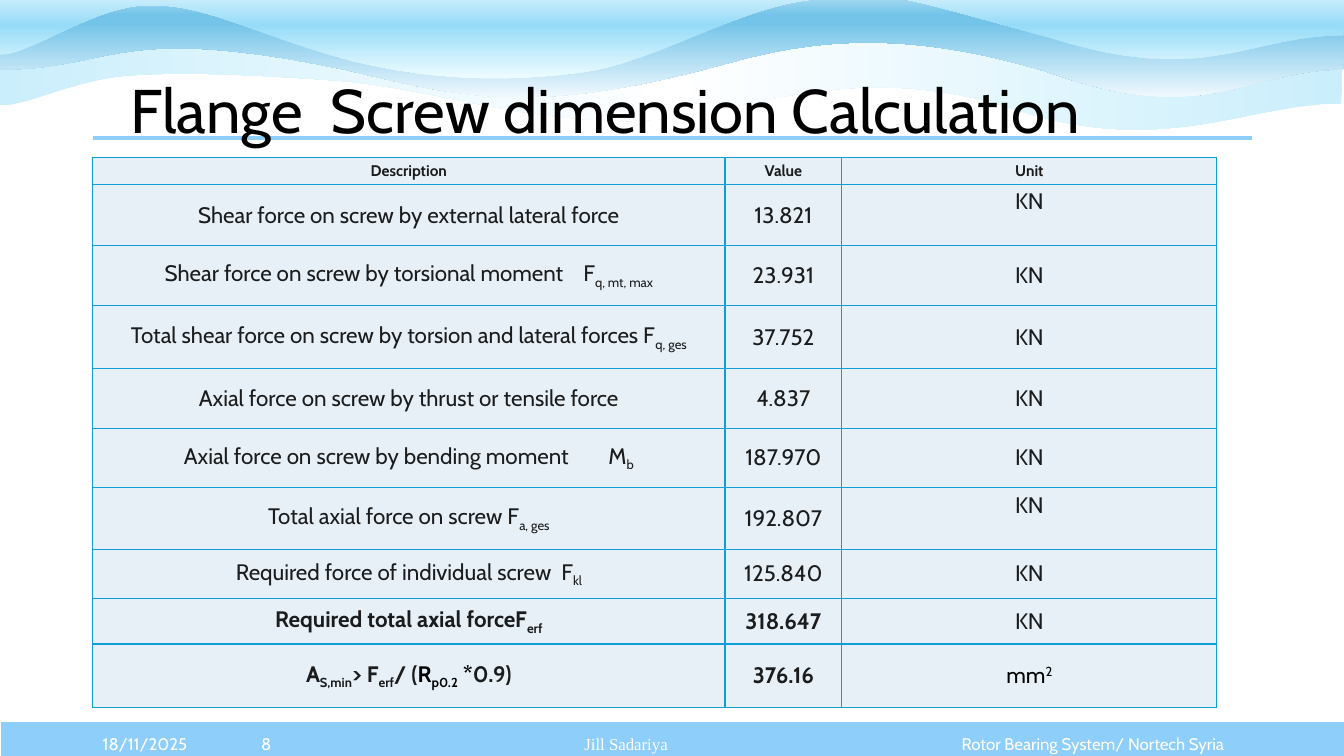
from lxml import etree
from pptx import Presentation
from pptx.dml.color import RGBColor
from pptx.enum.shapes import MSO_CONNECTOR, MSO_SHAPE
from pptx.enum.text import MSO_ANCHOR, MSO_AUTO_SIZE, PP_ALIGN
from pptx.oxml.ns import qn
from pptx.util import Inches, Pt

LEFT, CENTER = PP_ALIGN.LEFT, PP_ALIGN.CENTER
TOP, MIDDLE = MSO_ANCHOR.TOP, MSO_ANCHOR.MIDDLE
FONT, SERIF = "Cabin", "Times New Roman"
SKY, EDGE, CELL, INK, BLACK, WHITE = "8ECEFA", "0F9ED5", "E7F0F7", "1B1C1D", "000000", "FFFFFF"


def sub(text, color=None):
    return text, {"baseline": "-25000"}, color


def sup(text, color=None):
    return text, {"baseline": "30000"}, color


def gap(points):
    return " ", {"spc": str(int(points * 100))}, None


def black(text):
    return text, {}, BLACK


TITLE = ["Flange", gap(9.7), "Screw dimension Calculation"]
ROWS = [
    (["Description"], "Value", ["Unit"]),
    (["Shear force on screw by external lateral force"], "13.821", ["KN"]),
    (["Shear force on screw by torsional moment", gap(10.5), "F", sub("q, mt, max")], "23.931", ["KN"]),
    (["Total shear force on screw by torsion and lateral forces F", sub("q, ges")], "37.752", ["KN"]),
    (["Axial force on screw by thrust or tensile force"], "4.837", ["KN"]),
    (["Axial force on screw by bending moment", gap(24.5), "M", sub("b")], "187.970", ["KN"]),
    (["Total axial force on screw F", sub("a, ges")], "192.807", ["KN"]),
    (["Required force of individual screw", gap(3.5), "F", sub("kl")], "125.840", ["KN"]),
    (["Required total axial forceF", sub("erf")], "318.647", ["KN"]),
    (["A", sub("S,min"), "> F", sub("erf"), "/ (", black("R"), sub("p0.2", BLACK),
      black(" *"), "0.9)"], "376.16", [black("mm"), sup("2", BLACK)]),
]
COL_WIDTHS = [6.27, 1.16, 3.72]
ROW_HEIGHTS = [0.27, 0.61, 0.59, 0.63, 0.59, 0.59, 0.61, 0.49, 0.45, 0.63]
TOP_UNITS = (1, 6)
FIRST_BOLD_RESULT = 8

FOOTER = [
    ("Jill Sadariya", SERIF, CENTER, 3.15, 7.18, 6.12, 0.4),
    ("Rotor Bearing System/ Nortech Syria", FONT, CENTER, 9.3, 7.24, 3.08, 0.28),
    ("18/11/2025", FONT, LEFT, 0.92, 7.18, 1.22, 0.4),
    ("8", FONT, CENTER, 2.13, 7.18, 1.02, 0.4),
]

WAVES = [
    {"box": (-0.04, 0.3, 13.36, 0.98), "angle": 0,
     "stops": [(0, "CAEEFB"), (50, "FFFFFF"), (100, "CAEEFB")],
     "start": (13.3, 1.03),
     "curves": [(12.37, 1.02, 11.52, 1.59, 9.99, 1.06), (8.27, 0.54, 7.21, 1.24, 6.1, 1.2),
                (4.99, 1.16, 4.21, 0.87, 3.35, 0.8), (2.49, 0.74, 1.83, 0.71, 1.27, 0.75),
                (0.71, 0.79, 0.14, 1.11, -0.02, 1.03)],
     "top": [(-0.04, 0.3), (3.13, 0.31), (6.52, 0.34), (9.41, 0.32), (13.32, 0.34)],
     "close": (13.32, 0.55, 13.32, 0.8)},
    {"box": (0, -0.02, 13.33, 0.98), "angle": 90,
     "stops": [(0, "A2D8F0"), (17, "74C4E9"), (26, "74C4E9"), (100, "F0F8FD")],
     "start": (13.32, 0.69),
     "curves": [(12.39, 0.69, 11.96, 1.27, 10.44, 0.73), (8.71, 0.19, 7.73, 0.49, 7.06, 0.67),
                (5.28, 1.14, 4.59, 0.97, 3.46, 0.7), (1.13, 0.21, 1.15, 0.69, 0, 0.69)],
     "top": [(0.01, -0.01), (3.13, 0), (6.54, -0.02), (9.46, -0.01), (13.33, 0.03)],
     "close": (13.33, 0.25, 13.34, 0.46)},
    {"box": (-0.03, -0.28, 13.36, 1.06), "angle": 90,
     "stops": [(0, "FFFFFF"), (50, "96DCF8"), (100, "EFFCFF")],
     "start": (13.32, 0.35),
     "curves": [(12.39, 0.35, 11.96, 0.86, 10.44, 0.38), (8.72, -0.09, 8.91, -0.07, 8.13, -0.01),
                (7.35, 0.04, 6.53, 0.62, 5.76, 0.72), (4.98, 0.82, 4.24, 0.79, 3.47, 0.6),
                (2.58, 0.36, 2.07, 0.05, 1.5, 0.05), (0.92, 0.04, 0.22, 0.61, -0.03, 0.53)],
     "top": [(0.01, -0.27), (3.13, -0.26), (6.54, -0.28), (9.46, -0.27), (13.33, -0.24)],
     "close": (13.33, -0.04, 13.34, 0.14)},
]


def rgb(value):
    return RGBColor.from_string(value)


def write(tf, runs, size, color, align, font=FONT, bold=False):
    p = tf.paragraphs[0]
    p.alignment = align
    for item in runs:
        text, attrs, own_color = (item, {}, None) if isinstance(item, str) else item
        r = p.add_run()
        r.text = text
        r.font.name, r.font.size, r.font.bold = font, Pt(size), bold
        r.font.color.rgb = rgb(own_color or color)
        for name, value in attrs.items():
            r.font._element.set(name, value)
    return p


def bend(outline, wave):
    left, top, width, height = wave["box"]
    outline.set("w", str(Inches(width)))
    outline.set("h", str(Inches(height)))
    for child in list(outline):
        outline.remove(child)
    start = wave["start"]
    steps = [("moveTo", start)]
    steps += [("cubicBezTo", curve) for curve in wave["curves"]]
    steps += [("lnTo", point) for point in wave["top"]]
    steps += [("cubicBezTo", wave["close"] + start), ("close", ())]
    for command, coords in steps:
        node = etree.SubElement(outline, qn("a:" + command))
        for x, y in zip(coords[::2], coords[1::2]):
            etree.SubElement(node, qn("a:pt"), x=str(Inches(x - left)), y=str(Inches(y - top)))


def add_wave(shapes, wave):
    start, *corners = [(Inches(x), Inches(y)) for x, y in [wave["start"]] + wave["top"]]
    builder = shapes.build_freeform(*start)
    builder.add_line_segments(corners, close=True)
    sp = builder.convert_to_shape()
    sp.left, sp.top, sp.width, sp.height = map(Inches, wave["box"])
    bend(next(sp.element.iter(qn("a:path"))), wave)
    sp.shadow.inherit = False
    sp.line.fill.background()
    sp.fill.gradient()
    grad = sp.element.spPr.find(qn("a:gradFill"))
    stops = grad.find(qn("a:gsLst"))
    stops.clear()
    for pos, color in wave["stops"]:
        gs = etree.SubElement(stops, qn("a:gs"), pos=str(pos * 1000))
        etree.SubElement(gs, qn("a:srgbClr"), val=color)
    grad.find(qn("a:lin")).set("ang", str(wave["angle"] * 60000))


def format_cell(cell):
    cell.margin_left = cell.margin_right = Inches(0.06)
    cell.margin_top = cell.margin_bottom = Inches(0.04)
    tcPr = cell._tc.get_or_add_tcPr()
    for side in ("lnL", "lnR", "lnT", "lnB"):
        ln = etree.SubElement(tcPr, qn("a:" + side), w=str(Pt(1)))
        fill = etree.SubElement(ln, qn("a:solidFill"))
        etree.SubElement(fill, qn("a:srgbClr"), val=EDGE)
    cell.fill.solid()
    cell.fill.fore_color.rgb = rgb(CELL)


def add_results(shapes):
    frame = shapes.add_table(len(ROWS), len(COL_WIDTHS), Inches(0.92), Inches(1.56),
                             Inches(sum(COL_WIDTHS)), Inches(sum(ROW_HEIGHTS)))
    table = frame.table
    table.first_row = table.horz_banding = False
    for col, width in zip(table.columns, COL_WIDTHS):
        col.width = Inches(width)
    for i, (row, height) in enumerate(zip(ROWS, ROW_HEIGHTS)):
        table.rows[i].height = Inches(height)
        description, value, unit = row
        for j, runs in enumerate((description, [value], unit)):
            cell = table.cell(i, j)
            format_cell(cell)
            cell.vertical_anchor = TOP if j == 2 and i in TOP_UNITS else MIDDLE
            bold = i == 0 or (i >= FIRST_BOLD_RESULT and j < 2)
            write(cell.text_frame, runs, 11 if i == 0 else 16, INK, CENTER, bold=bold)


def main():
    prs = Presentation()
    prs.slide_width, prs.slide_height = Inches(13.33), Inches(7.5)
    slide = prs.slides.add_slide(prs.slide_layouts[5])
    shapes = slide.shapes

    bar = shapes.add_shape(MSO_SHAPE.RECTANGLE, 0, Inches(7.15), Inches(13.35), Inches(0.4))
    bar.shadow.inherit = False
    bar.fill.solid()
    bar.fill.fore_color.rgb = rgb(SKY)
    bar.line.color.rgb = rgb(WHITE)
    bar.line.width = Pt(1.5)

    for wave in WAVES:
        add_wave(shapes, wave)

    for text, font, align, *box in FOOTER:
        tf = shapes.add_textbox(*map(Inches, box)).text_frame
        tf.word_wrap = True
        tf.vertical_anchor = MIDDLE
        write(tf, [text], 12, WHITE, align, font)

    rule = shapes.add_connector(MSO_CONNECTOR.STRAIGHT, Inches(0.92), Inches(1.37),
                                Inches(12.42), Inches(1.37))
    rule.line.color.rgb = rgb(SKY)
    rule.line.width = Pt(3)
    etree.SubElement(rule._element.spPr, qn("a:effectLst"))

    add_results(shapes)

    title = shapes.title
    title.left, title.top = Inches(0.92), Inches(0.4)
    title.width, title.height = Inches(11.5), Inches(1.45)
    tf = title.text_frame
    tf.auto_size = MSO_AUTO_SIZE.NONE
    tf.vertical_anchor = MIDDLE
    tf.margin_left = Inches(0.37)
    write(tf, TITLE, 44, BLACK, LEFT).line_spacing = 0.9
    title.element.getparent().append(title.element)

    prs.save("out.pptx")


if __name__ == "__main__":
    main()
